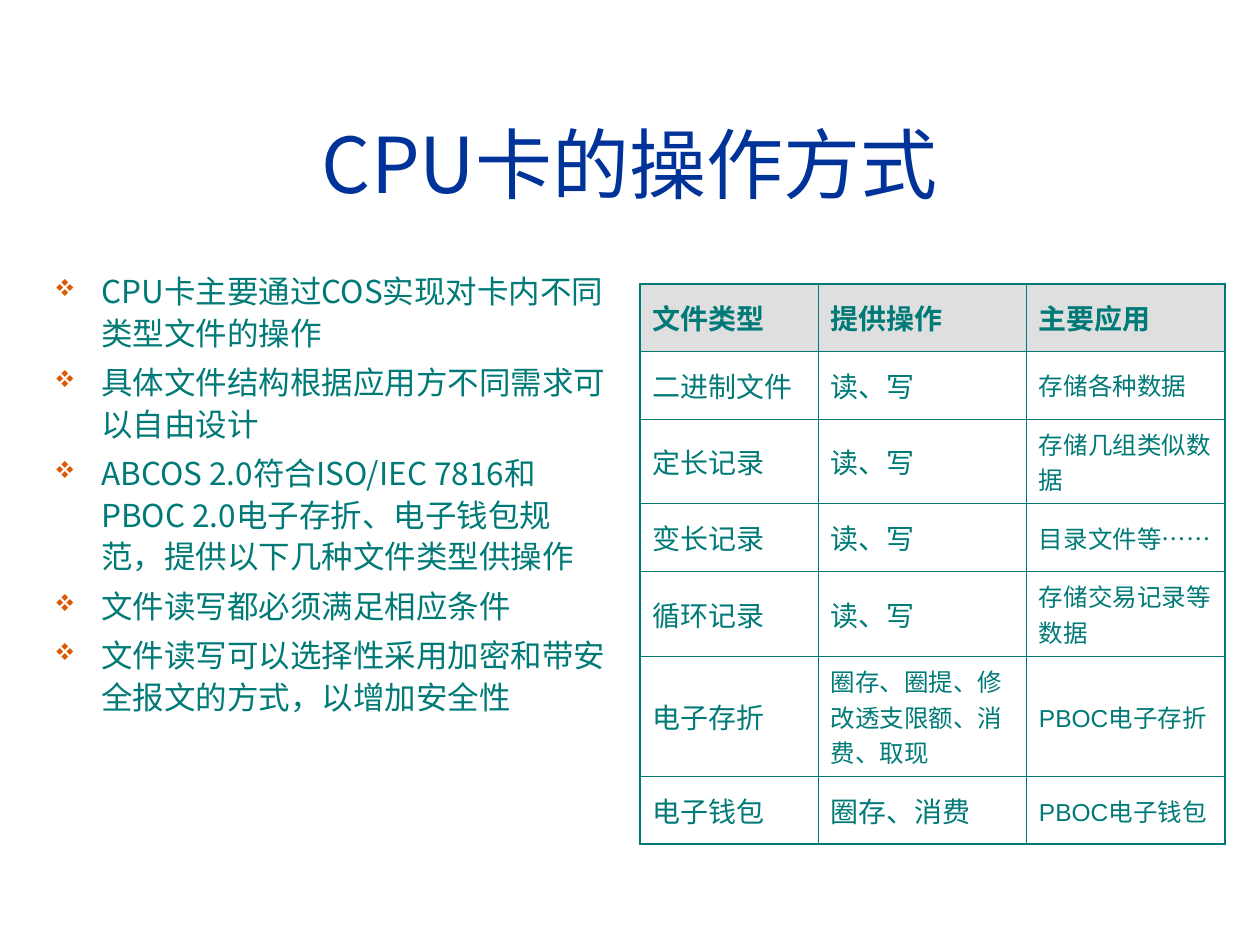
"""Build a slide on how CPU cards are operated, with a list and a file type table."""
from lxml import etree
from pptx import Presentation
from pptx import util as u
from pptx.dml import color
from pptx.enum import text
from pptx.oxml import ns

COLORS = {"title": "003399", "text": "007A77", "bullet": "DC5900", "header": "C0C0C0"}
CJK = "Noto Sans CJK SC"
POINTS = [
    "CPU卡主要通过COS实现对卡内不同类型文件的操作",
    "具体文件结构根据应用方不同需求可以自由设计",
    "ABCOS 2.0符合ISO/IEC 7816和PBOC 2.0电子存折、电子钱包规范，提供以下几种文件类型供操作",
    "文件读写都必须满足相应条件",
    "文件读写可以选择性采用加密和带安全报文的方式，以增加安全性",
]
ROWS = [
    ("文件类型", "提供操作", "主要应用"),
    ("二进制文件", "读、写", "存储各种数据"),
    ("定长记录", "读、写", "存储几组类似数据"),
    ("变长记录", "读、写", "目录文件等……"),
    ("循环记录", "读、写", "存储交易记录等数据"),
    ("电子存折", "圈存、圈提、修改透支限额、消费、取现", "PBOC电子存折"),
    ("电子钱包", "圈存、消费", "PBOC电子钱包"),
]
WIDTHS = [3.59, 4.2, 4.01]
HEIGHTS = [1.36, 1.37, 1.7, 1.37, 1.71, 2.42, 1.37]


def add_node(parent, tag, **attributes):
    return etree.SubElement(parent, ns.qn(tag), attributes)


def add_span(para, words, size, font, shade, bold=False):
    span = para.add_run()
    span.text = words
    span.font.size = u.Pt(size)
    span.font.name = font
    span.font.bold = bold
    span.font.color.rgb = color.RGBColor.from_string(COLORS[shade])
    add_node(span.font._element, "a:ea", typeface=CJK)


deck = Presentation()
deck.slide_width, deck.slide_height = u.Cm(25.4), u.Cm(19.05)
page = deck.slides.add_slide(deck.slide_layouts[1])

title, body = page.placeholders
for box, top, width, height in ((title, 1.69, 23.72, 3.18), (body, 5.28, 11.66, 11.66)):
    box.left, box.top = u.Cm(0.84), u.Cm(top)
    box.width, box.height = u.Cm(width), u.Cm(height)
    box.text_frame.word_wrap = True
    box.text_frame.auto_size = text.MSO_AUTO_SIZE.NONE

title.text_frame.vertical_anchor = text.MSO_ANCHOR.MIDDLE
para = title.text_frame.paragraphs[0]
para.alignment = text.PP_ALIGN.CENTER
add_span(para, "CPU卡的操作方式", 44, CJK, "title")

for number, point in enumerate(POINTS):
    para = body.text_frame.add_paragraph() if number else body.text_frame.paragraphs[0]
    para.line_spacing = 1.1
    para.space_before = u.Pt(4.5)
    layout = para._p.get_or_add_pPr()
    layout.set("marL", str(u.Cm(0.95)))
    layout.set("indent", str(-u.Cm(0.95)))
    layout.set("hangingPunct", "0")
    add_node(add_node(layout, "a:buClr"), "a:srgbClr", val=COLORS["bullet"])
    add_node(layout, "a:buSzPct", val="75000")
    add_node(layout, "a:buFont", typeface="Wingdings", charset="2")
    add_node(layout, "a:buChar", char="v")
    add_span(para, point, 18, CJK, "text")

frame = page.shapes.add_table(len(ROWS), len(WIDTHS), u.Cm(12.9), u.Cm(5.72),
                              u.Cm(sum(WIDTHS)), u.Cm(sum(HEIGHTS)))
table = frame.table
table.horz_banding = False
for column, width in zip(table.columns, WIDTHS):
    column.width = u.Cm(width)

last_row, last_column = len(ROWS) - 1, len(WIDTHS) - 1
for r, words in enumerate(ROWS):
    table.rows[r].height = u.Cm(HEIGHTS[r])
    for c, word in enumerate(words):
        cell = table.cell(r, c)
        cell.vertical_anchor = text.MSO_ANCHOR.MIDDLE
        small = r > 0 and (c == last_column or len(word) > 8)
        para = cell.text_frame.paragraphs[0]
        para.space_before = u.Pt(3.5 if small else 4)
        add_span(para, word, 14 if small else 16, "Arial", "text", bold=r == 0)

        edges = {"L": c == 0, "R": c == last_column, "T": r == 0, "B": r == last_row}
        for side, outer in edges.items():
            line = add_node(cell._tc.get_or_add_tcPr(), f"a:ln{side}",
                            w=str(u.Pt(1.08 if outer else 0.45)))
            add_node(add_node(line, "a:solidFill"), "a:srgbClr", val=COLORS["text"])
        if r == 0:
            cell.fill.solid()
            cell.fill.fore_color.rgb = color.RGBColor.from_string(COLORS["header"])
            shade = cell._tc.tcPr.find(ns.qn("a:solidFill"))[0]
            add_node(shade, "a:alpha", val="50000")
        else:
            cell.fill.background()

deck.save("out.pptx")
